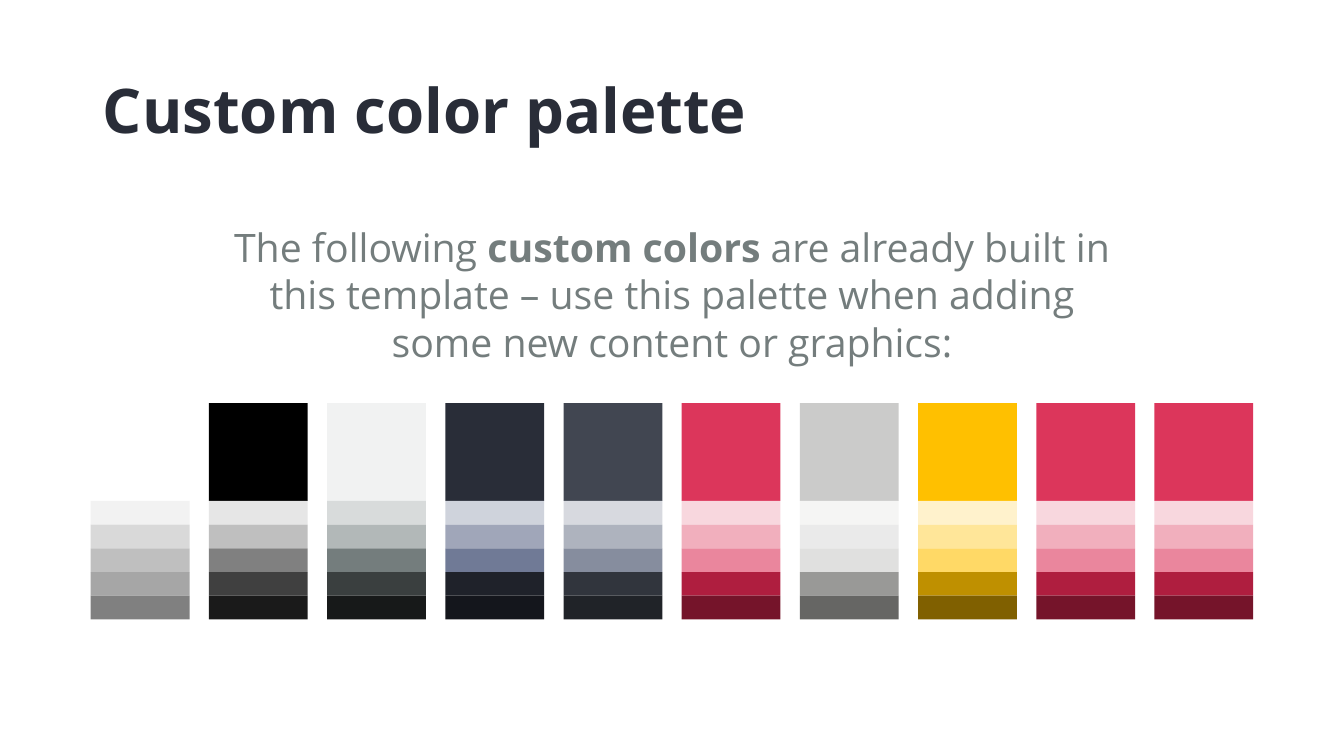
from pptx import Presentation
from pptx.dml.color import RGBColor
from pptx.enum.shapes import MSO_SHAPE
from pptx.enum.text import MSO_ANCHOR, PP_ALIGN
from pptx.util import Inches, Pt

RECT = MSO_SHAPE.RECTANGLE
MIDDLE = MSO_ANCHOR.MIDDLE
LEFT = PP_ALIGN.LEFT
CENTER = PP_ALIGN.CENTER

ROSE = "DC365B F8D7DE F1AFBD EA869D AF1E3F 75142A"
PALETTE = [
    "FFFFFF F2F2F2 D9D9D9 BFBFBF A6A6A6 808080",
    "000000 E6E6E6 BFBFBF 808080 404040 1A1A1A",
    "F1F2F2 D8DBDB B2B8B8 747D7D 3A3F3F 171919",
    "292D38 CFD3DC A0A6B9 707A96 1F222A 14161C",
    "414651 D7D9DF AEB3BE 868D9E 31353D 202328",
    ROSE,
    "CBCBCA F5F5F4 EAEAEA E0E0DF 999997 666664",
    "FFC000 FFF2CC FFE699 FFD966 BF9000 806000",
    ROSE,
    ROSE,
]


def color(code):
    """Turn a hex string into a colour."""
    return RGBColor.from_string(code)


def assign(item, values):
    """Set attributes from a dict of values."""
    for name, value in values.items():
        setattr(item, name, value)


class Painter:
    """Hold the style and the current slide."""

    font = "Open Sans"
    dark = "292D38"
    gray = "747D7D"

    def __init__(self, deck):
        """Add a title-only slide to the deck."""
        self.slide = deck.slides.add_slide(deck.slide_layouts[5])

    def add_run(self, para, text, size, code, bold=False):
        """Add a formatted run to a paragraph."""
        run = para.add_run()
        run.text = text
        assign(run.font, {"name": self.font, "size": Pt(size), "bold": bold})
        run.font.color.rgb = color(code)

    def title(self, text, left, top, width, height):
        """Place and fill the title."""
        head = self.slide.shapes.title
        assign(head, {"left": Inches(left), "top": Inches(top),
                      "width": Inches(width), "height": Inches(height)})
        assign(head.text_frame, {"vertical_anchor": MIDDLE, "word_wrap": True})
        para = head.text_frame.paragraphs[0]
        assign(para, {"alignment": LEFT, "line_spacing": 0.9})
        self.add_run(para, text, 44, self.dark, True)

    def intro(self, parts, left, top, width, height):
        """Add a centred text box from text and bold pairs."""
        box = self.slide.shapes.add_textbox(
            Inches(left), Inches(top), Inches(width), Inches(height))
        box.text_frame.word_wrap = True
        para = box.text_frame.paragraphs[0]
        para.alignment = CENTER
        for text, bold in parts:
            self.add_run(para, text, 28, self.gray, bold)

    def swatch(self, code, left, top, width, height):
        """Add a plain filled rectangle."""
        box = self.slide.shapes.add_shape(
            RECT, Inches(left), Inches(top), Inches(width), Inches(height))
        box.shadow.inherit = False
        box.fill.solid()
        box.fill.fore_color.rgb = color(code)
        box.line.fill.background()

    def column(self, codes, left):
        """Stack a base swatch and its tints."""
        base, *tints = codes.split()
        wide, step = 0.98, (5.91 - 4.97) / 4
        self.swatch(base, left, 4, wide, 0.97)
        for row, code in enumerate(tints):
            self.swatch(code, left, 4.97 + row * step, wide, step)


def main():
    """Build and save the slide."""
    deck = Presentation()
    assign(deck, {"slide_width": Inches(13.33), "slide_height": Inches(7.5)})
    page = Painter(deck)
    page.title("Custom color palette", 0.92, 0.4, 11.5, 1.45)
    step = (11.45 - 0.9) / (len(PALETTE) - 1)
    for col, codes in enumerate(PALETTE):
        page.column(codes, 0.9 + col * step)
    page.intro([
        ("The following ", False),
        ("custom colors ", True),
        ("are already built in this template – use this palette "
         "when adding some new content or graphics:", False),
    ], 2.07, 2.17, 9.19, 1.51)
    deck.save("out.pptx")


if __name__ == "__main__":
    main()
